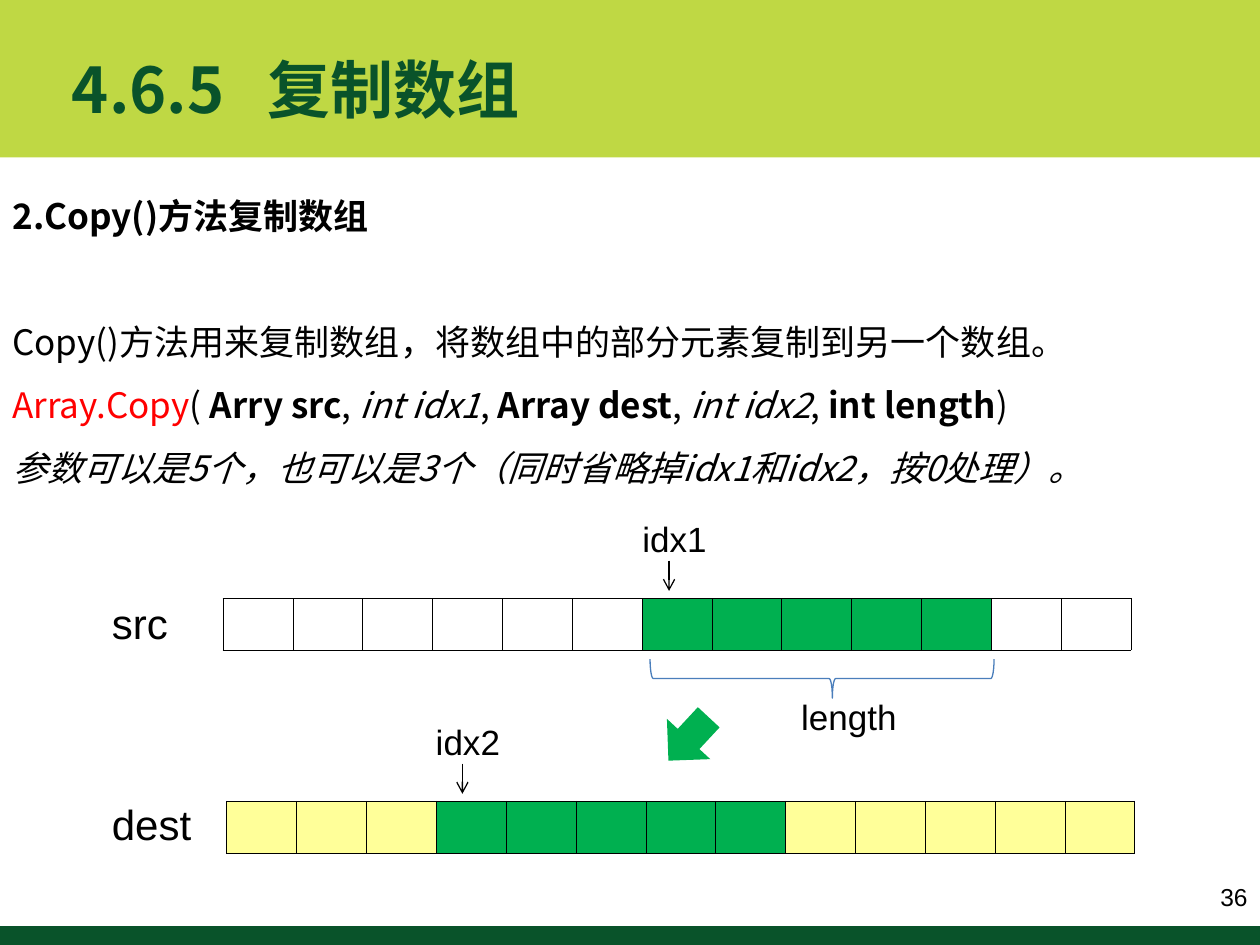
"""Build the slide on copying arrays with Array.Copy."""
import pptx
import pptx.dml.color
import pptx.enum.shapes
import pptx.enum.text
import pptx.oxml.ns
import pptx.util
from lxml import etree

HUE = {"lime": "BFD844", "pine": "09532A", "black": "000000", "red": "FF0000",
       "green": "00B050", "white": "FFFFFF", "cream": "FFFF99", "blue": "4A7EBB"}
NOTO = "Noto Sans CJK SC"
SHAPE = pptx.enum.shapes.MSO_SHAPE
ALIGN = pptx.enum.text.PP_ALIGN
MID = pptx.enum.text.MSO_ANCHOR.MIDDLE
RGB = pptx.dml.color.RGBColor.from_string
Pt = pptx.util.Pt
qn = pptx.oxml.ns.qn

deck = pptx.Presentation()
deck.slide_width = pptx.util.Inches(10)
deck.slide_height = pptx.util.Inches(7.5)
slide = deck.slides.add_slide(deck.slide_layouts[5])
shapes = slide.shapes
title = shapes.title


def at(*cells):
    """Turn counts of grid steps, a hundred to the slide's width, into lengths."""
    return [round(n * deck.slide_width / 100) for n in cells]


def write(para, text, size=20, font="Arial", hue="black", bold=False, slant=False):
    """Add a formatted run to a paragraph."""
    run = para.add_run()
    run.text = text
    face = run.font
    face.size, face.name, face.bold, face.italic = Pt(size), font, bold, slant
    face.color.rgb = RGB(HUE[hue])
    etree.SubElement(run._r.get_or_add_rPr(), qn("a:ea"), typeface=font)


for top, high, hue in ((0, 12.5, "lime"), (73.5, 1.5, "pine")):
    band = shapes.add_shape(SHAPE.RECTANGLE, *at(0, top, 100, high))
    band.shadow.inherit = False
    band.fill.solid()
    band.fill.fore_color.rgb = RGB(HUE[hue])
    band.line.fill.background()
band.element.addnext(title.element)

title.left, title.top, title.width, title.height = at(4.7, 2.3, 86.7, 9.5)
title.text_frame.vertical_anchor = MID
head = title.text_frame.paragraphs[0]
head.alignment = ALIGN.LEFT
stops = etree.SubElement(head._p.get_or_add_pPr(), qn("a:tabLst"))
etree.SubElement(stops, qn("a:tab"), pos=str(at(15.5)[0]), algn="l")
write(head, "4.6.5\t复制数组", size=36, font=NOTO, hue="pine", bold=True)

B, I = {"bold": True}, {"slant": True}
lines = [
    [("2.Copy()方法复制数组", B)],
    [("Copy()方法用来复制数组，将数组中的部分元素复制到另一个数组。", {})],
    [("Array.Copy", {"hue": "red"}), ("( ", {}), ("Arry src", B), (", ", {}),
     ("int idx1", I), (", ", {}), ("Array dest", B), (", ", {}),
     ("int idx2", I), (", ", {}), ("int length", B), (")", {})],
    [("参数可以是5个，也可以是3个（同时省略掉idx1和idx2，按0处理）。", I)],
]
body = shapes.add_textbox(*at(0, 13.3, 96.9, 26)).text_frame
body.word_wrap = True
for row, runs in enumerate(lines):
    para = body.add_paragraph() if row else body.paragraphs[0]
    para.line_spacing = Pt(36)
    if row == 1:
        para.space_before = Pt(36)
    for text, form in runs:
        write(para, text, font=NOTO, **form)

page = shapes.add_textbox(*at(92.2, 68.8, 7.8, 4.7)).text_frame
page.word_wrap = True
page.vertical_anchor = MID
page.paragraphs[0].alignment = ALIGN.RIGHT
write(page.paragraphs[0], "36", size=14)

COUNT, SPAN = 13, 5
for left, top, first, hue in ((17.7, 47.5, 6, "white"), (18, 63.6, 3, "cream")):
    table = shapes.add_table(1, COUNT, *at(left, top, 72.1, 4.1)).table
    table.first_row = table.horz_banding = False
    for col in range(COUNT):
        table.columns[col].width = at(72.1 / COUNT)[0]
        cell = table.cell(0, col)
        props = cell._tc.get_or_add_tcPr()
        for side in ("a:lnL", "a:lnR", "a:lnT", "a:lnB"):
            edge = etree.SubElement(props, qn(side), w=str(Pt(0.45)))
            paint = etree.SubElement(edge, qn("a:solidFill"))
            etree.SubElement(paint, qn("a:srgbClr"), val=HUE["black"])
        cell.fill.solid()
        copied = first <= col < first + SPAN
        cell.fill.fore_color.rgb = RGB(HUE["green" if copied else hue])

for x, y in ((53.1, 44.5), (36.7, 60.6)):
    line = shapes.add_connector(pptx.enum.shapes.MSO_CONNECTOR.STRAIGHT,
                                *at(x, y, x, y + 2.4))
    line.line.color.rgb = RGB(HUE["black"])
    line.line.width = Pt(0.75)
    etree.SubElement(line.line._get_or_add_ln(), qn("a:tailEnd"), type="arrow")
    etree.SubElement(line.element.spPr, qn("a:effectLst"))

for text, x, y, wide, high, size in (
        ("idx1", 50, 40.6, 7.5, 4.4, 20), ("idx2", 33.6, 56.7, 7.5, 4.4, 20),
        ("src", 7.9, 46.9, 7.5, 5, 24), ("dest", 7.9, 62.9, 9, 5, 24),
        ("length", 62.6, 54.7, 10, 4.4, 20)):
    label = shapes.add_textbox(*at(x, y, wide, high)).text_frame
    label.word_wrap = True
    write(label.paragraphs[0], text, size=size)

brace = shapes.add_shape(SHAPE.LEFT_BRACE, *at(63.7, 40.2, 3.1, 27.3))
brace.shadow.inherit = False
brace.rotation = 270
brace.adjustments[1] = 0.53
brace.fill.background()
brace.line.color.rgb = RGB(HUE["blue"])
brace.line.width = Pt(0.75)

arrow = shapes.add_shape(SHAPE.DOWN_ARROW, *at(52.3, 56.3, 4.7, 4.7))
arrow.shadow.inherit = False
arrow.rotation = 42.9
arrow.fill.solid()
arrow.fill.fore_color.rgb = RGB(HUE["green"])
arrow.line.fill.background()

deck.save("out.pptx")
